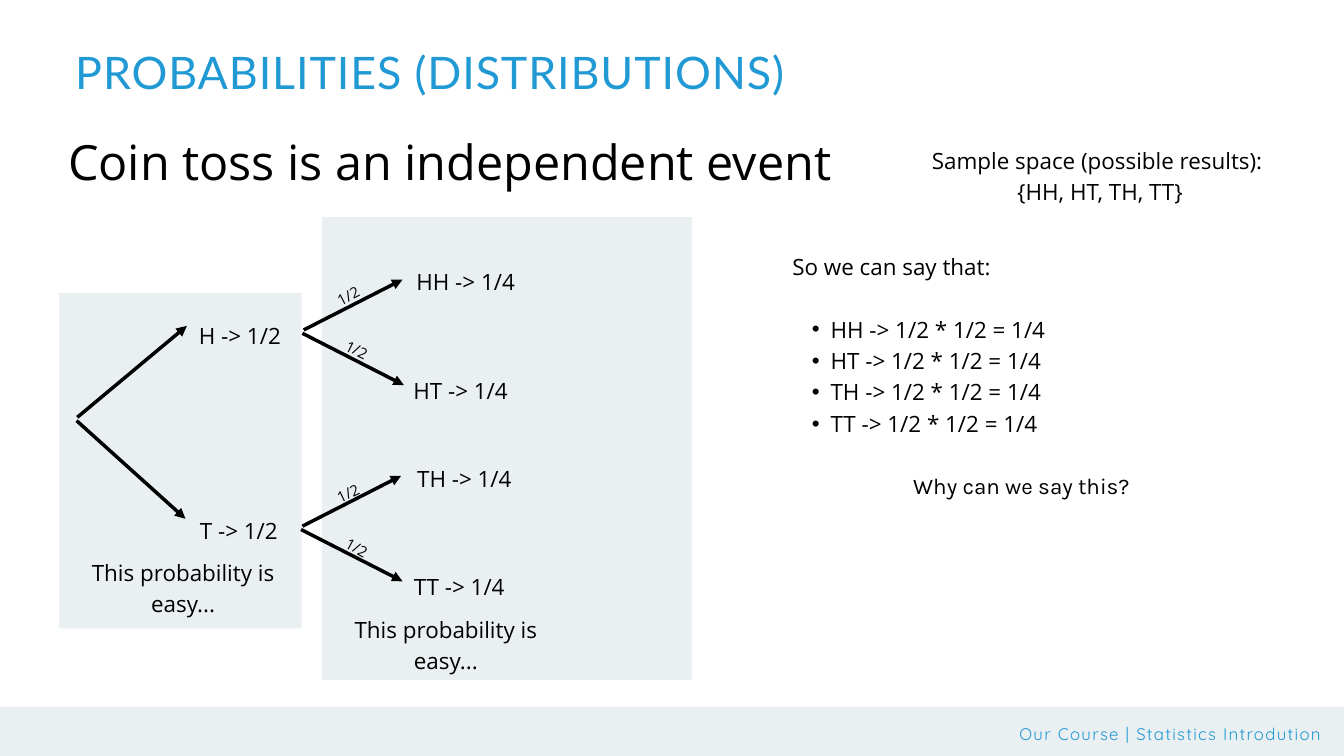
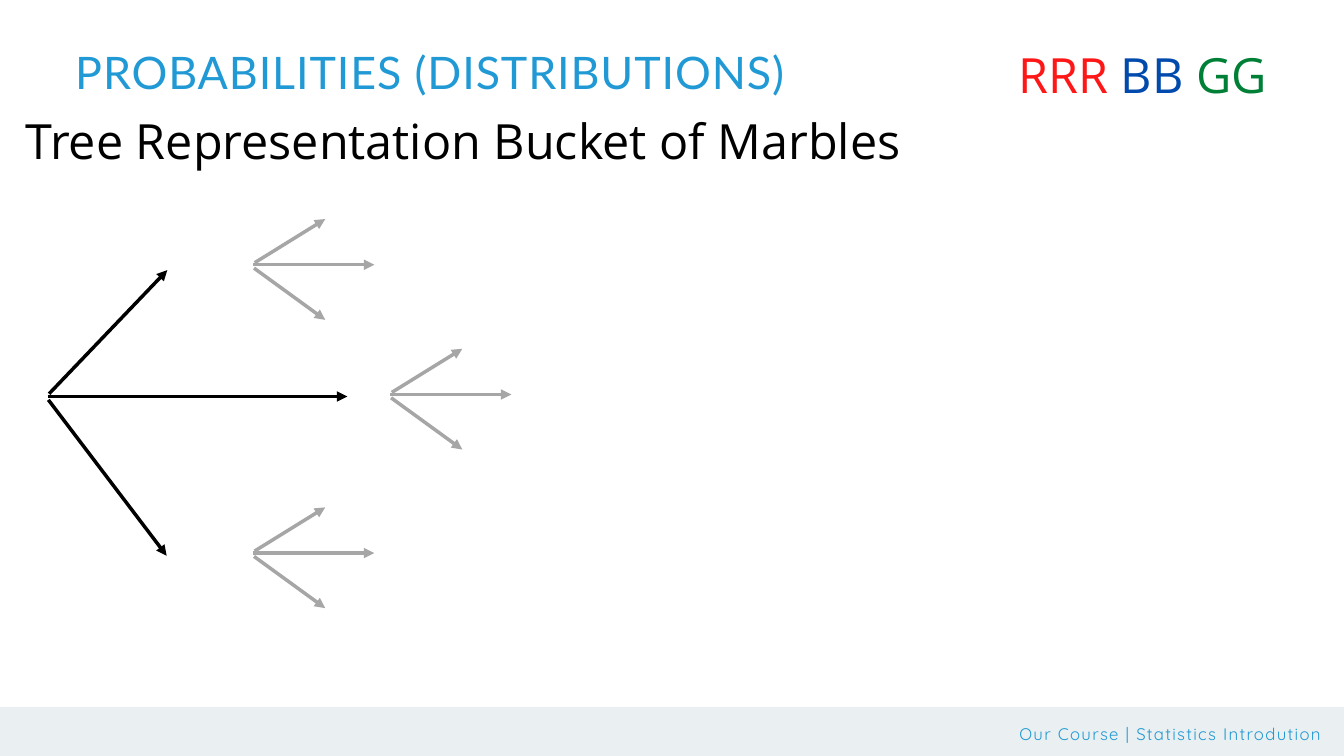
from lxml import etree
from pptx import Presentation
from pptx import util as u
from pptx.dml.color import RGBColor
from pptx.enum import shapes, text
from pptx.oxml import ns

PX = 9144
COLOURS = {
    "band": "EAF0F1",
    "accent": "2199D4",
    "ink": "000000",
    "later": "A6A6A6",
    "red": "FF1616",
    "blue": "004AAD",
    "green": "008037",
}
LEFT, CENTER, RIGHT = text.PP_ALIGN.LEFT, text.PP_ALIGN.CENTER, text.PP_ALIGN.RIGHT
EASY = "This probability is easy..."


def write_text(page, place, lines, size=24, font="Open Sans", align=CENTER, leading=1.4, tracking=0, turn=0):
    box = page.shapes.add_textbox(*[n * PX for n in place])
    box.rotation = turn
    frame = box.text_frame
    frame.margin_left = frame.margin_top = frame.margin_right = frame.margin_bottom = 0
    frame.word_wrap = True
    frame.auto_size = text.MSO_AUTO_SIZE.SHAPE_TO_FIT_TEXT
    for number, line in enumerate(lines):
        para = frame.add_paragraph() if number else frame.paragraphs[0]
        para.alignment = align
        para.line_spacing = u.Pt(round(size * leading, 1))
        for words, colour in line:
            span = para.add_run()
            span.text = words
            span.font.size = u.Pt(size)
            span.font.name = font
            span.font.color.rgb = RGBColor.from_string(COLOURS[colour])
            if tracking:
                span.font._element.set("spc", str(tracking))
    return frame.paragraphs


def draw_arrow(page, start, end, colour="ink"):
    arrow = page.shapes.add_connector(
        shapes.MSO_CONNECTOR.STRAIGHT, *[n * PX for n in (*start, *end)])
    arrow.line.width = u.Pt(3.75)
    arrow.line.color.rgb = RGBColor.from_string(COLOURS[colour])
    properties = arrow._element.spPr
    etree.SubElement(properties.find(ns.qn("a:ln")), ns.qn("a:tailEnd"), type="triangle")
    etree.SubElement(properties, ns.qn("a:effectLst"))


deck = Presentation()
deck.slide_width, deck.slide_height = 2000 * PX, 1125 * PX
footer_band = (-27, 1052, 2056, 99)
coin_panels = [(88, 436, 361, 499), (479, 323, 551, 689)]
headings = [
    ("Coin toss is an independent event", (0, 182, 1339, 97), coin_panels),
    ("Tree Representation Bucket of Marbles", (20, 150, 1339, 97), []),
]
for heading, place, panels in headings:
    page = deck.slides.add_slide(deck.slide_layouts[6])
    for area in [footer_band, *panels]:
        band = page.shapes.add_shape(shapes.MSO_SHAPE.RECTANGLE, *[n * PX for n in area])
        band.shadow.inherit = False
        band.fill.solid()
        band.fill.fore_color.rgb = RGBColor.from_string(COLOURS["band"])
        band.line.fill.background()
    write_text(page, (735, 1072, 1231, 33), [[("Our Course | Statistics Introdution", "accent")]],
               18, "Quicksand", RIGHT, tracking=140)
    write_text(page, (112, 67, 1297, 79), [[("PROBABILITIES (DISTRIBUTIONS)", "accent")]],
               48, "Lato", LEFT, leading=1.2, tracking=100)
    write_text(page, place, [[(heading, "ink")]], 52)

coin_page, marble_page = deck.slides

draw_arrow(coin_page, (115, 621), (278, 485))
draw_arrow(coin_page, (114, 626), (276, 772))
coin_forks = [
    ("H", (277, 472, 160, 43), (450, 491), (423, -27.5), (503, 26.3)),
    ("T", (283, 763, 145, 43), (448, 783), (716, -25.6), (798, 28.4)),
]
for side, place, (x, y), (upper, upper_turn), (lower, lower_turn) in coin_forks:
    draw_arrow(coin_page, (x + 2, y), (x + 149, y - 75))
    draw_arrow(coin_page, (x, y + 5), (x + 151, y + 82))
    write_text(coin_page, place, [[(f"{side} -> 1/2", "ink")]])
    write_text(coin_page, (x + 163, y - 98, 160, 43), [[(f"{side}H -> 1/4", "ink")]])
    write_text(coin_page, (x + 163, y + 63, 145, 43), [[(f"{side}T -> 1/4", "ink")]])
    write_text(coin_page, (444, upper, 145, 29), [[("1/2", "ink")]], 16, turn=upper_turn)
    write_text(coin_page, (460, lower, 145, 29), [[("1/2", "ink")]], 16, turn=lower_turn)

for x, y in [(112, 825), (503, 910)]:
    write_text(coin_page, (x, y, 321, 89), [[(EASY, "ink")]])
write_text(coin_page, (1296, 212, 682, 89),
           [[("Sample space (possible results): ", "ink")], [("{HH, HT, TH, TT}", "ink")]])

products = [f"{pair} -> 1/2 * 1/2 = 1/4" for pair in ("HH", "HT", "TH", "TT")]
sentences = ["So we can say that:", *products, "Why can we say this?"]
reasoning = write_text(coin_page, (1179, 370, 682, 364),
                       [[(sentence, "ink")] for sentence in sentences], align=LEFT)
for para in reasoning[1:-1]:
    para.level = 1
    properties = para._p.get_or_add_pPr()
    properties.set("marL", str(57 * PX))
    properties.set("indent", str(-28 * PX))
    etree.SubElement(properties, ns.qn("a:buFont"), typeface="Arial")
    etree.SubElement(properties, ns.qn("a:buChar"), char="•")
for para in (reasoning[1], reasoning[-1]):
    para.space_before = u.Pt(33.6)
reasoning[-1].alignment = CENTER
reasoning[-1].runs[0].font.name = "Karla"

for start, end in [((73, 586), (249, 402)), ((71, 590), (517, 590)), ((72, 595), (248, 827))]:
    draw_arrow(marble_page, start, end)
for x, y in [(377, 394), (581, 587), (377, 823)]:
    draw_arrow(marble_page, (x + 2, y - 3), (x + 107, y - 68), "later")
    draw_arrow(marble_page, (x, y), (x + 180, y), "later")
    draw_arrow(marble_page, (x + 1, y + 5), (x + 107, y + 82), "later")
write_text(marble_page, (1434, 53, 533, 97),
           [[("RRR ", "red"), ("BB ", "blue"), ("GG", "green")]], 52)

deck.save("out.pptx")
